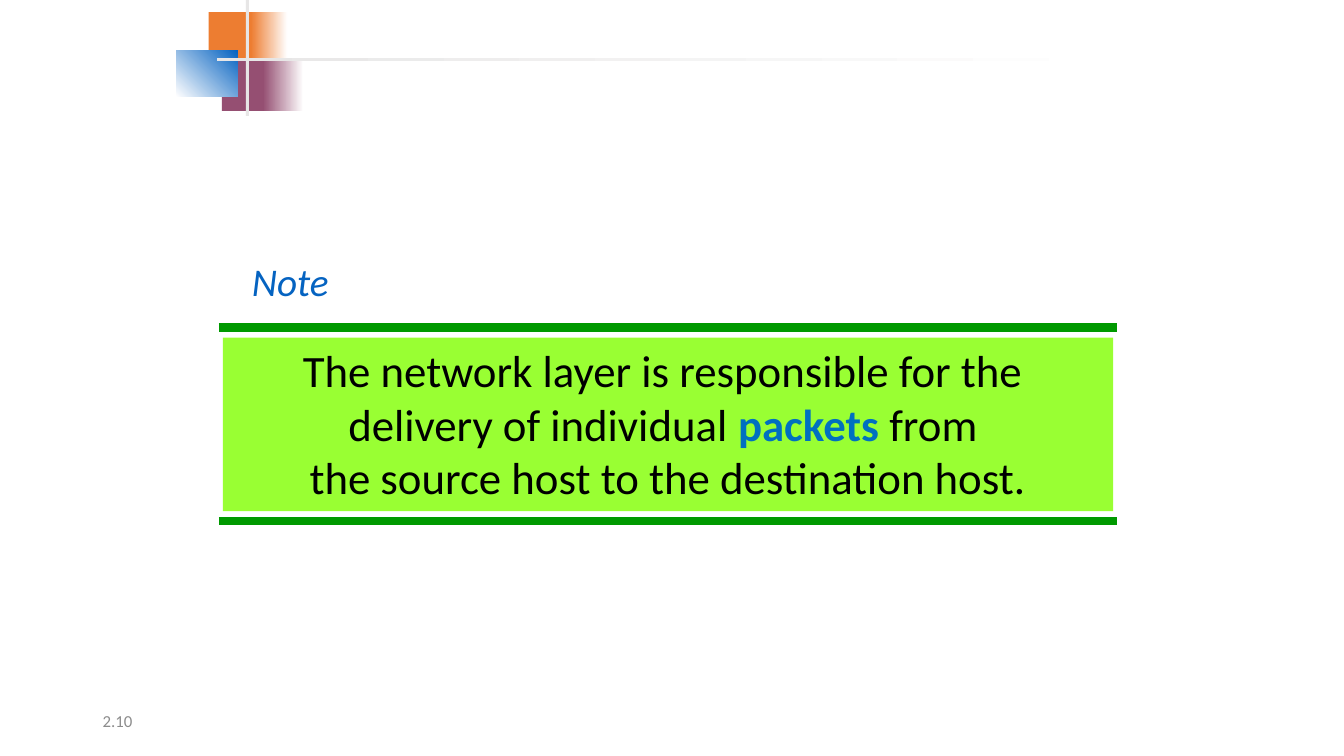
from pptx import Presentation
from pptx import util as u
from pptx.dml.color import RGBColor
from pptx.enum import shapes, text
from pptx.oxml.ns import qn
from lxml import etree

FONT = "Calibri"
COLORS = {
    "orange": "ED7D31", "plum": "954F72", "blue": "0563C1", "grey": "E7E6E6",
    "white": "FFFFFF", "rule": "009900", "panel": "99FF33",
    "body": "000000", "accent": "0070C0", "number": "8C8C8C",
}


def rgb(name):
    return RGBColor.from_string(COLORS[name])


def add_rect(s, box, color, end=None, angle=0):
    """Add a borderless rectangle, solid or fading from color to end."""
    sp = s.shapes.add_shape(shapes.MSO_SHAPE.RECTANGLE, *map(u.Inches, box))
    sp.shadow.inherit = False
    sp.line.fill.background()
    if end:
        sp.fill.gradient()
        sp.fill.gradient_angle = angle
        for stop, name in zip(sp.fill.gradient_stops, (color, end)):
            stop.color.rgb = rgb(name)
    else:
        sp.fill.solid()
        sp.fill.fore_color.rgb = rgb(color)
    return sp


def add_label(s, box, content, size, color, italic=False, wrap=True):
    tf = s.shapes.add_textbox(*map(u.Inches, box)).text_frame
    tf.word_wrap = wrap
    p = tf.paragraphs[0]
    p.text = content
    p.font.name, p.font.size = FONT, u.Pt(size)
    p.font.italic = italic
    p.font.color.rgb = rgb(color)
    return tf


def add_ornament(s, x, y):
    """Overlapping squares crossed by two thin grey bars."""
    for dx, dy, solid_w, fade_dx, fade_w, color in (
            (0.32, 0.12, 0.48, 0.74, 0.36, "orange"),
            (0.45, 0.58, 0.46, 0.86, 0.4, "plum")):
        add_rect(s, (x + dx, y + dy, solid_w, 0.52), color)
        add_rect(s, (x + fade_dx, y + dy, fade_w, 0.52), color, "white")
    add_rect(s, (x, y + 0.5, 0.61, 0.46), "white", "blue", angle=45)
    add_rect(s, (x + 0.69, y, 0.03, 1.15), "grey")
    add_rect(s, (x + 0.4, y + 0.58, 9, 0.03), "grey", "white")


def add_note(s, x, y, w, h):
    """Green statement panel between two rules, with a label above."""
    for rule_y in (y, y + h):
        ends = map(u.Inches, (x, rule_y, x + w, rule_y))
        line = s.shapes.add_connector(shapes.MSO_CONNECTOR.STRAIGHT, *ends)
        line.line.color.rgb = rgb("rule")
        line.line.width = u.Pt(6)
        etree.SubElement(line._element.spPr, qn("a:effectLst"))

    # Statement
    gap = 0.1
    panel = add_rect(s, (x + 0.04, y + gap, w - 0.08, h - 2 * gap), "panel")
    tf = panel.text_frame
    tf.word_wrap = True
    tf.vertical_anchor = text.MSO_ANCHOR.TOP
    first, last = tf.paragraphs[0], tf.add_paragraph()
    for p in (first, last):
        p.alignment = text.PP_ALIGN.CENTER
        p.font.name, p.font.size = FONT, u.Pt(32)
        p.font.color.rgb = rgb("body")
    first.add_run().text = "The network layer is responsible for the "
    first.add_line_break()
    first.add_run().text = "delivery of individual "
    r = first.add_run()
    r.text = "packets"
    r.font.bold = True
    r.font.color.rgb = rgb("accent")
    first.add_run().text = " from "
    last.add_run().text = "the source host to the destination host."

    # Label
    add_label(s, (x + 0.23, y - 0.75, 0.97, 0.57), "Note", 28, "blue",
              italic=True, wrap=False)


def add_slide_number(s, box, number):
    tf = add_label(s, box, number, 12, "number")
    tf.vertical_anchor = text.MSO_ANCHOR.MIDDLE


def main():
    prs = Presentation()
    prs.slide_width, prs.slide_height = u.Inches(13.33), u.Inches(7.5)
    s = prs.slides.add_slide(prs.slide_layouts.get_by_name("Blank"))
    add_slide_number(s, (0.92, 6.95, 3, 0.4), "2.10")
    add_ornament(s, 1.75, 0)
    add_note(s, 2.17, 3.25, 8.91, 1.92)
    prs.save("out.pptx")


if __name__ == "__main__":
    main()
